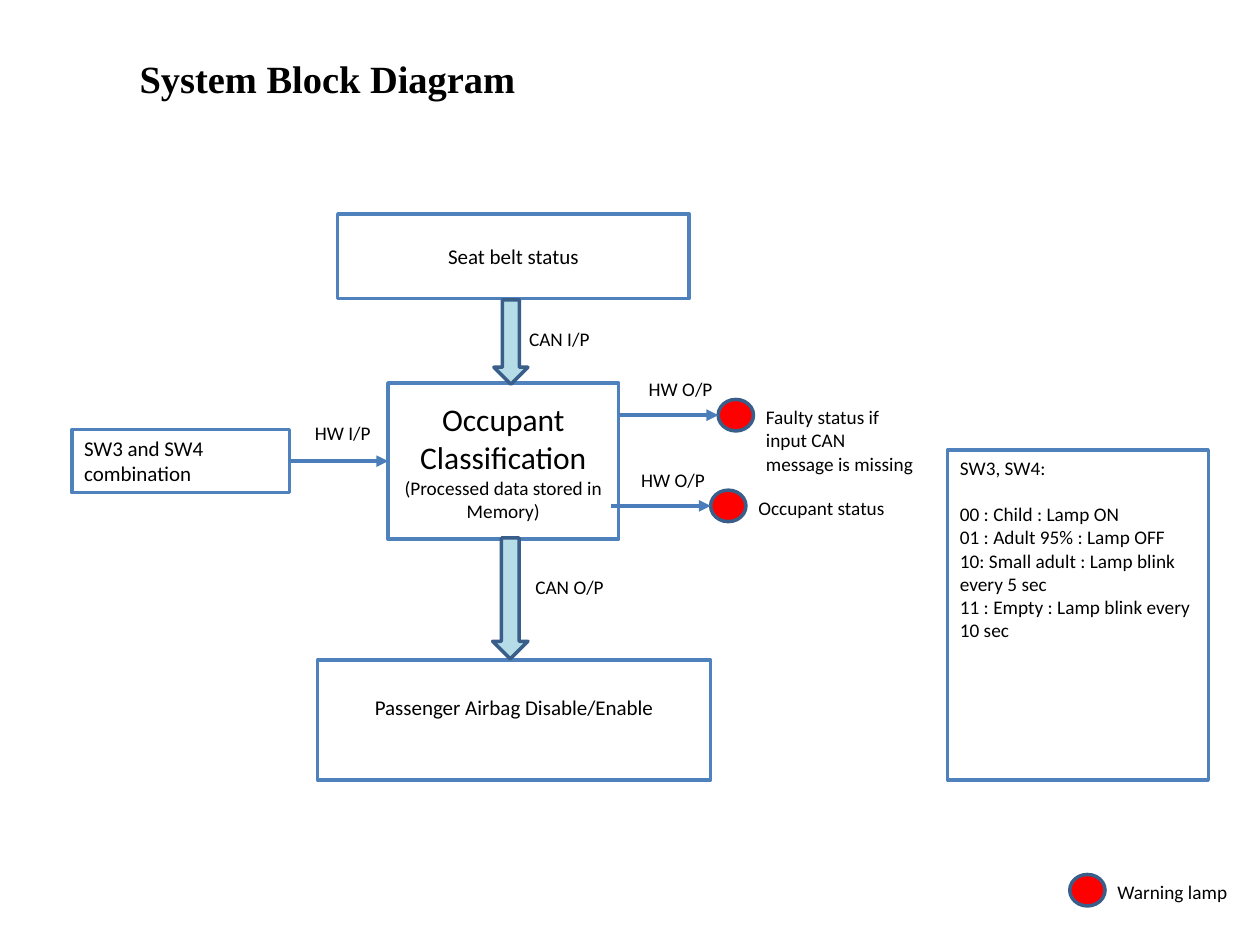
from lxml import etree
from pptx import Presentation, util as u
from pptx.dml.color import RGBColor
from pptx.enum import shapes, text
from pptx.oxml.ns import qn

# The slide is a grid of 100 columns by 75 rows
COLUMNS, ROWS = 100, 75
LAMP_WIDTH, LAMP_HEIGHT = 2.8, 2.5
CENTER, LEFT = text.PP_ALIGN.CENTER, text.PP_ALIGN.LEFT
TOP, MIDDLE = text.MSO_ANCHOR.TOP, text.MSO_ANCHOR.MIDDLE


def color(value):
    return RGBColor.from_string(value)


class BlockDiagram:
    """Holds the style and the current slide."""
    font, ink = "Calibri", "000000"
    box_fill, box_line = "FFFFFF", "4F81BD"
    arrow_line, outline = "4A7DBA", "395E89"
    bus_fill, lamp_fill = "B6DDE7", "FF0000"

    def __init__(self, deck):
        self.deck = deck
        self.page = deck.slides.add_slide(deck.slide_layouts[6])

    def place(self, *lengths):
        """Turn column, row pairs into slide lengths."""
        units = (self.deck.slide_width / COLUMNS, self.deck.slide_height / ROWS)
        return [u.Emu(round(n * units[i % 2])) for i, n in enumerate(lengths)]

    def set_lines(self, shape, lines, align=LEFT, anchor=TOP, font=None, bold=False,
                  bottom=0.05):
        """Fill a shape with (words, size, space after) lines."""
        frame = shape.text_frame
        frame.word_wrap = True
        frame.vertical_anchor = anchor
        frame.margin_bottom = u.Inches(bottom)
        for i, (words, size, gap) in enumerate(lines):
            para = frame.add_paragraph() if i else frame.paragraphs[0]
            para.text = words
            para.alignment = align
            para.space_after = u.Pt(gap)
            para.font.name = font or self.font
            para.font.size = u.Pt(size)
            para.font.bold = bold
            para.font.color.rgb = color(self.ink)

    def shape(self, kind, at, fill, line):
        shape = self.page.shapes.add_shape(kind, *self.place(*at))
        shape.shadow.inherit = False
        shape.fill.solid()
        shape.fill.fore_color.rgb = color(fill)
        shape.line.color.rgb = color(line)
        shape.line.width = u.Pt(2)
        return shape

    def block(self, at, lines, **style):
        box = self.shape(shapes.MSO_SHAPE.RECTANGLE, at, self.box_fill, self.box_line)
        self.set_lines(box, lines, **style)
        return box

    def bus(self, at):
        return self.shape(shapes.MSO_SHAPE.DOWN_ARROW, at, self.bus_fill, self.outline)

    def label(self, at, words, size=11, **style):
        box = self.page.shapes.add_textbox(*self.place(*at))
        self.set_lines(box, [(words, size, 0)], **style)
        return box

    def arrow(self, start, end):
        link = self.page.shapes.add_connector(
            shapes.MSO_CONNECTOR.STRAIGHT, *self.place(*start, *end))
        link.line.color.rgb = color(self.arrow_line)
        link.line.width = u.Pt(2.25)
        properties = link.element.spPr
        etree.SubElement(properties.find(qn("a:ln")), qn("a:tailEnd"), type="triangle")
        etree.SubElement(properties, qn("a:effectLst"))
        return link

    def lamp(self, column, row, words, width=13.9):
        self.shape(shapes.MSO_SHAPE.OVAL, (column, row, LAMP_WIDTH, LAMP_HEIGHT),
                   self.lamp_fill, self.outline)
        self.label((column + LAMP_WIDTH, row, width, 2.9), words)

    def output(self, column, row, words):
        """A lamp with its hardware output arrow."""
        self.lamp(column, row, words)
        middle = row + LAMP_HEIGHT / 2
        self.arrow((column - 7.9, middle), (column, middle))
        self.label((column - 6.5, row - 2.25, 7.9, 2.9), "HW O/P")


def main():
    deck = Presentation()
    deck.slide_width, deck.slide_height = u.Inches(10), u.Inches(7.5)
    diagram = BlockDiagram(deck)

    # Title
    title = diagram.label((10.1, 3.4, 58.4, 5.7), "System Block Diagram", 22,
                          font="Times New Roman", bold=True, bottom=0.1)
    title.text_frame.margin_top = u.Inches(0.1)

    # Blocks
    classifier = diagram.block(
        (30.8, 30.4, 18.3, 12.4),
        [("Occupant Classification", 18, 0), ("(Processed data stored in Memory)", 11, 0)],
        align=CENTER, anchor=MIDDLE)
    diagram.block((26.8, 17, 27.9, 6.7), [("Seat belt status", 12, 0)],
                  align=CENTER, anchor=MIDDLE)
    diagram.block((25.2, 52.4, 31.2, 9.5), [("Passenger Airbag Disable/Enable", 12, 0)],
                  align=CENTER, anchor=MIDDLE, bottom=0.25)
    switches = diagram.block((5.7, 34.1, 17.3, 5), [("SW3 and SW4 combination", 12, 0)])

    # CAN input and output
    diagram.bus((39.2, 23.8, 2.7, 6.7))
    diagram.label((41, 25.5, 7.9, 2.9), "CAN I/P")
    diagram.bus((39.1, 42.7, 2.8, 9.6))
    diagram.label((41.5, 45.2, 7.9, 2.9), "CAN O/P")

    # Hardware input
    link = diagram.arrow((23, 36.6), (30.8, 36.6))
    link.begin_connect(switches, 3)
    link.end_connect(classifier, 1)
    diagram.label((24, 32.9, 7.9, 2.9), "HW I/P")

    # Hardware outputs
    diagram.output(57, 31.7, "Faulty status if input CAN message is missing")
    diagram.output(56.4, 38.9, "Occupant status")

    # Switch table and lamp key
    diagram.block((75.2, 35.7, 20.7, 26.2), [
        ("SW3, SW4:", 11, 13.4),
        ("00 : Child : Lamp ON", 11, 0),
        ("01 : Adult 95% : Lamp OFF", 11, 0),
        ("10: Small adult : Lamp blink every 5 sec", 11, 0),
        ("11 : Empty : Lamp blink every 10 sec", 11, 0)])
    diagram.lamp(84.9, 69.4, "Warning lamp", width=11.6)

    deck.save("out.pptx")


if __name__ == "__main__":
    main()
